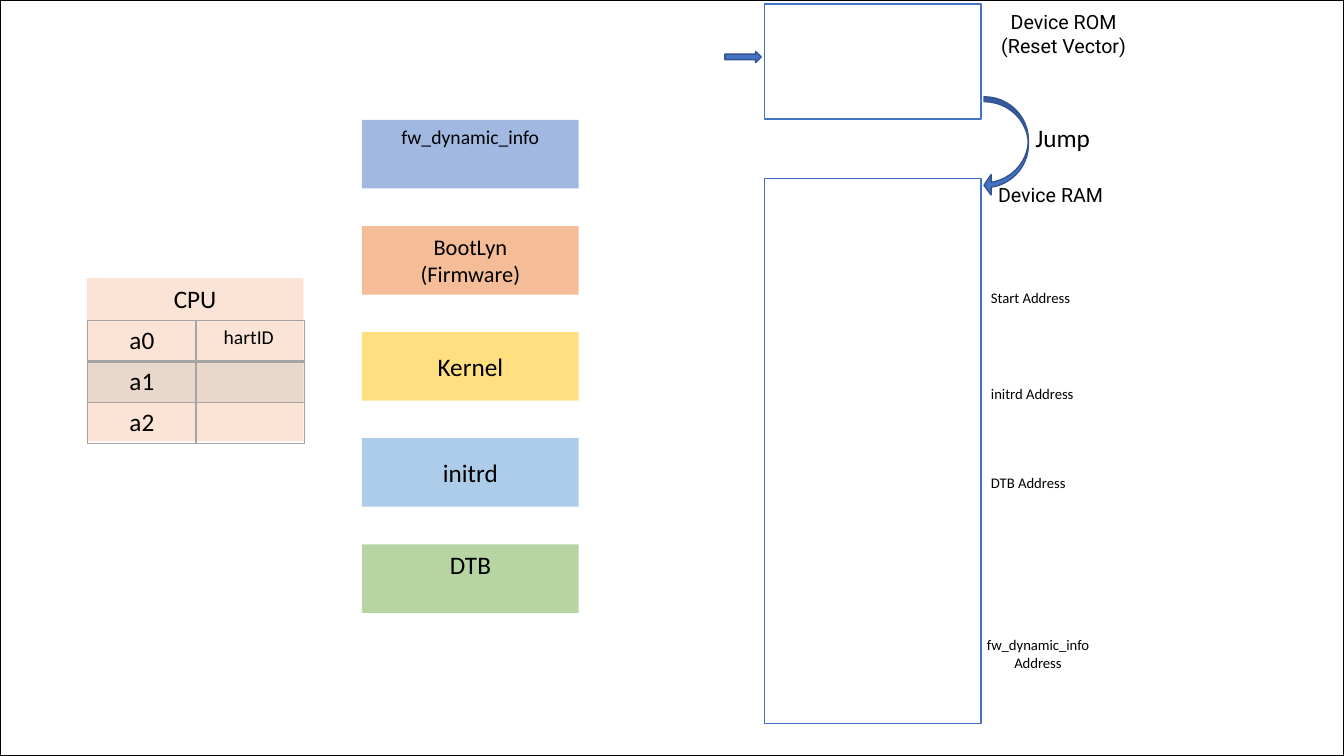
from lxml import etree
from pptx import Presentation
from pptx.dml.color import RGBColor
from pptx.enum.shapes import MSO_SHAPE
from pptx.enum.text import MSO_ANCHOR, PP_ALIGN
from pptx.oxml.ns import qn
from pptx.util import Inches, Pt

RECT, RIGHT_ARROW = MSO_SHAPE.RECTANGLE, MSO_SHAPE.RIGHT_ARROW
CURVED_ARROW = MSO_SHAPE.CURVED_LEFT_ARROW
TOP, MIDDLE = MSO_ANCHOR.TOP, MSO_ANCHOR.MIDDLE
LEFT, CENTER = PP_ALIGN.LEFT, PP_ALIGN.CENTER

# Content
W, H = 13.33, 7.5
BLUE, ARROW_EDGE, GREY = "4472C4", "325491", "A5A5A5"
BLOCK_W, BLOCK_H = 2.15, 0.68
IMAGE_X, FIRST_Y, LAST_Y = 3.59, 1.19, 5.4
IMAGES = [  # text, fill, size, anchor
    ("fw_dynamic_info", BLUE, 14, TOP),
    ("BootLyn\n(Firmware)", "ED7D31", 16, MIDDLE),
    ("Kernel", "FFC000", 18, MIDDLE),
    ("initrd", "5B9BD5", 18, MIDDLE),
    ("DTB", "70AD47", 18, TOP),
]
MEMORY_X = 7.58
MEMORIES = [(1.77, 5.41), (0.04, 1.14)]  # RAM, ROM: top, height
REGISTERS = ["a0", "a1", "a2"]
ROW_H = 0.4
LABELS = [  # text, box, size, font, alignment, wrap
    ("Device RAM", (9.8, 1.77, 1.25, 0.34), 14, "Roboto", LEFT, False),
    ("Device ROM\n(Reset Vector)", (9.82, 0.05, 1.46, 0.57), 14, "Roboto", CENTER, False),
    ("Start Address", (9.73, 2.82, 1, 0.28), 10.5, "Calibri", LEFT, True),
    ("initrd Address", (9.73, 3.77, 1.12, 0.28), 10.5, "Calibri", LEFT, True),
    ("DTB Address", (9.73, 4.65, 1.12, 0.28), 10.5, "Calibri", LEFT, True),
    ("fw_dynamic_info Address", (9.49, 6.26, 1.61, 0.45), 10.5, "Calibri", CENTER, True),
    ("Jump", (10.17, 1.16, 0.75, 0.4), 18, "Calibri", LEFT, False),
    ("hartID", (2.12, 3.17, 0.71, 0.34), 14, "Calibri", LEFT, False),
]


def paint(fill, color, alpha=None):
    if color is None:
        fill.background()
        return
    fill.solid()
    fill.fore_color.rgb = RGBColor.from_string(color)
    if alpha:
        clr = fill._xPr.find(qn("a:solidFill"))[0]
        etree.SubElement(clr, qn("a:alpha"), val=str(alpha * 1000))


def write(tf, text, size, font="Calibri", align=CENTER):
    tf.text = text
    for p in tf.paragraphs:
        p.alignment = align
        for r in p.runs:
            r.font.size, r.font.name = Pt(size), font
            r.font.color.rgb = RGBColor.from_string("000000")


def add_shape(kind, box, fill=None, line=None, alpha=None):
    sp = s.shapes.add_shape(kind, *map(Inches, box))
    sp.shadow.inherit = False
    paint(sp.fill, fill, alpha)
    paint(sp.line.fill, line)
    if line:
        sp.line.width = Pt(1)
    return sp


def set_borders(cell, color, bottom):
    tcPr = cell._tc.get_or_add_tcPr()
    for i, side in enumerate(("lnL", "lnR", "lnT", "lnB")):
        width = bottom if side == "lnB" else 1
        ln = etree.Element(qn(f"a:{side}"), w=str(Pt(width)))
        solid = etree.SubElement(ln, qn("a:solidFill"))
        etree.SubElement(solid, qn("a:srgbClr"), val=color)
        tcPr.insert(i, ln)


prs = Presentation()
prs.slide_width, prs.slide_height = Inches(W), Inches(H)
s = prs.slides.add_slide(prs.slide_layouts[6])

# Device memories
for top, height in MEMORIES:
    add_shape(RECT, (MEMORY_X, top, BLOCK_W, height), "FFFFFF", BLUE)

# Boot images, evenly stacked
pitch = (LAST_Y - FIRST_Y) / (len(IMAGES) - 1)
for i, (text, color, size, anchor) in enumerate(IMAGES):
    sp = add_shape(RECT, (IMAGE_X, FIRST_Y + i * pitch, BLOCK_W, BLOCK_H), color, alpha=50)
    sp.text_frame.vertical_anchor = anchor
    write(sp.text_frame, text, size)

# CPU and its registers
cpu = add_shape(RECT, (0.86, 2.76, BLOCK_W, 1.62), "F8CBAD", alpha=50)
cpu.text_frame.vertical_anchor = TOP
write(cpu.text_frame, "CPU", 18)
box = (0.87, 3.18, BLOCK_W, ROW_H * len(REGISTERS))
table = s.shapes.add_table(len(REGISTERS), 2, *map(Inches, box)).table
table.first_row = table.horz_banding = False
for i, register in enumerate(REGISTERS):
    write(table.cell(i, 0).text_frame, register, 18)
    for cell in table.rows[i].cells:
        paint(cell.fill, GREY if i == 1 else None, 20)
        set_borders(cell, GREY, 2 if i == 0 else 1)

# Arrows
jump = add_shape(CURVED_ARROW, (9.76, 0.96, 0.44, 0.98), BLUE, ARROW_EDGE)
for i, value in enumerate((0.11, 0.46, 0.16)):
    jump.adjustments[i] = value
add_shape(RIGHT_ARROW, (7.19, 0.51, 0.36, 0.11), BLUE, ARROW_EDGE)

# Labels
for text, box, size, font, align, wrap in LABELS:
    tf = s.shapes.add_textbox(*map(Inches, box)).text_frame
    tf.word_wrap = wrap
    write(tf, text, size, font, align)

# Slide frame
add_shape(RECT, (0, 0, W, H), line="000000")

prs.save("out.pptx")
